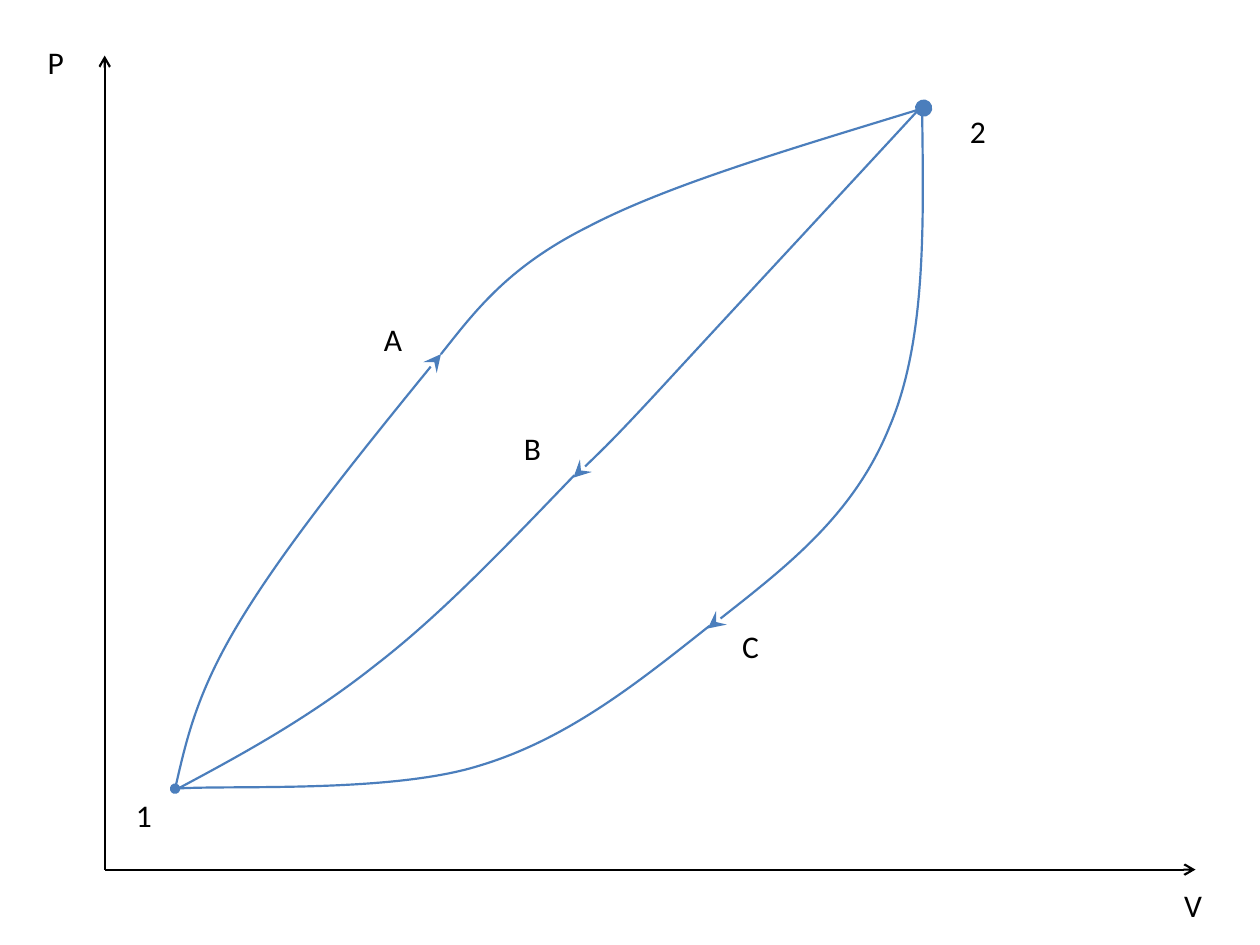
"""Draw a P-V diagram with three paths joining states 1 and 2."""
from dataclasses import dataclass

from lxml.etree import SubElement
from pptx import Presentation
from pptx.dml.color import RGBColor
from pptx.enum.shapes import MSO_CONNECTOR
from pptx.enum.text import MSO_AUTO_SIZE
from pptx.oxml.ns import qn
from pptx.util import Cm, Pt

STRAIGHT = MSO_CONNECTOR.STRAIGHT
FIT = MSO_AUTO_SIZE.SHAPE_TO_FIT_TEXT
Point = tuple[float, float]


@dataclass(frozen=True)
class Theme:
    ink: RGBColor = RGBColor(0x00, 0x00, 0x00)
    curve: RGBColor = RGBColor(0x4B, 0x7E, 0xBC)
    font: str = "Calibri"
    size: Pt = Pt(18)
    line: Pt = Pt(1.25)


@dataclass(frozen=True)
class End:
    kind: str
    size: str = "med"


@dataclass(frozen=True)
class Label:
    text: str
    left: float
    top: float


@dataclass(frozen=True)
class Curve:
    points: list[Point]
    head: End | None = None
    tail: End | None = None


THEME = Theme()
ARROW = End("arrow")
BARB = End("stealth", "lg")
DOT = End("oval")
BIG = End("oval", "lg")

ORIGIN = (2.11, 17.53)
TIPS = [(2.11, 1.12), (24.1, 17.53)]
LABELS = [
    Label("V", 23.62, 17.73),
    Label("P", 0.71, 0.74),
    Label("1", 2.49, 15.93),
    Label("A", 7.49, 6.32),
    Label("2", 19.3, 2.13),
    Label("B", 10.31, 8.53),
    Label("C", 14.71, 12.52),
]
CURVES = [
    Curve([(3.53, 15.9), (3.76, 14.91), (3.99, 13.89), (4.9, 12.42),
           (5.79, 10.97), (7.34, 9.04), (8.89, 7.14)], DOT, BARB),
    Curve([(8.89, 7.14), (9.58, 6.27), (10.24, 5.38), (11.86, 4.57),
           (13.46, 3.73), (16.05, 2.97), (18.62, 2.18)], tail=BIG),
    Curve([(18.52, 2.21), (16.87, 4), (15.21, 5.78), (13.56, 7.57),
           (12.42, 8.81), (11.99, 9.22), (11.56, 9.63)], tail=BARB),
    Curve([(11.58, 9.58), (10.24, 10.97), (8.92, 12.37), (7.57, 13.41),
           (6.22, 14.48), (4.88, 15.21), (3.53, 15.93)]),
    Curve([(18.59, 2.24), (18.62, 4.55), (18.67, 6.88), (17.93, 8.61),
           (17.22, 10.36), (15.75, 11.51), (14.27, 12.67)], tail=BARB),
    Curve([(14.3, 12.62), (12.85, 13.77), (11.43, 14.91), (9.65, 15.44),
           (7.85, 16), (4.55, 15.82), (3.53, 15.9)]),
]


def assign(target, values: dict) -> None:
    for name, value in values.items():
        setattr(target, name, value)


def stroke(shape, color: RGBColor, head: End | None, tail: End | None) -> None:
    shape.line.color.rgb = color
    shape.line.width = THEME.line
    props = shape._element.spPr
    line = props.find(qn("a:ln"))
    for tag, end in (("a:headEnd", head), ("a:tailEnd", tail)):
        if end:
            SubElement(line, qn(tag), type=end.kind, w=end.size, len=end.size)
    if props.find(qn("a:effectLst")) is None:
        SubElement(props, qn("a:effectLst"))


def add_axis(slide, tip: Point) -> None:
    ends = [Cm(value) for value in (*ORIGIN, *tip)]
    axis = slide.shapes.add_connector(STRAIGHT, *ends)
    stroke(axis, THEME.ink, None, ARROW)


def bend(shape) -> None:
    """Turn each three segments of an outline into one cubic curve."""
    route = shape._element.find(".//" + qn("a:path"))
    steps = route.findall(qn("a:lnTo"))
    for start in range(0, len(steps), 3):
        cubic = SubElement(route, qn("a:cubicBezTo"))
        for step in steps[start:start + 3]:
            cubic.append(step[0])
            route.remove(step)


def add_curve(slide, curve: Curve) -> None:
    first, *rest = [(Cm(x), Cm(y)) for x, y in curve.points]
    pen = slide.shapes.build_freeform(*first)
    pen.add_line_segments(rest, close=False)
    shape = pen.convert_to_shape()
    bend(shape)
    shape.fill.background()
    shape.shadow.inherit = False
    stroke(shape, THEME.curve, curve.head, curve.tail)


def add_label(slide, label: Label) -> None:
    box = slide.shapes.add_textbox(Cm(label.left), Cm(label.top), Cm(0.86), Cm(1.02))
    frame = box.text_frame
    assign(frame, {"text": label.text, "word_wrap": False, "auto_size": FIT})
    font = frame.paragraphs[0].runs[0].font
    assign(font, {"name": THEME.font, "size": THEME.size})
    font.color.rgb = THEME.ink


def main() -> None:
    deck = Presentation()
    assign(deck, {"slide_width": Cm(25.4), "slide_height": Cm(19.05)})
    slide = deck.slides.add_slide(deck.slide_layouts[6])
    for draw, items in ((add_axis, TIPS), (add_curve, CURVES), (add_label, LABELS)):
        for item in items:
            draw(slide, item)
    deck.save("out.pptx")


if __name__ == "__main__":
    main()
